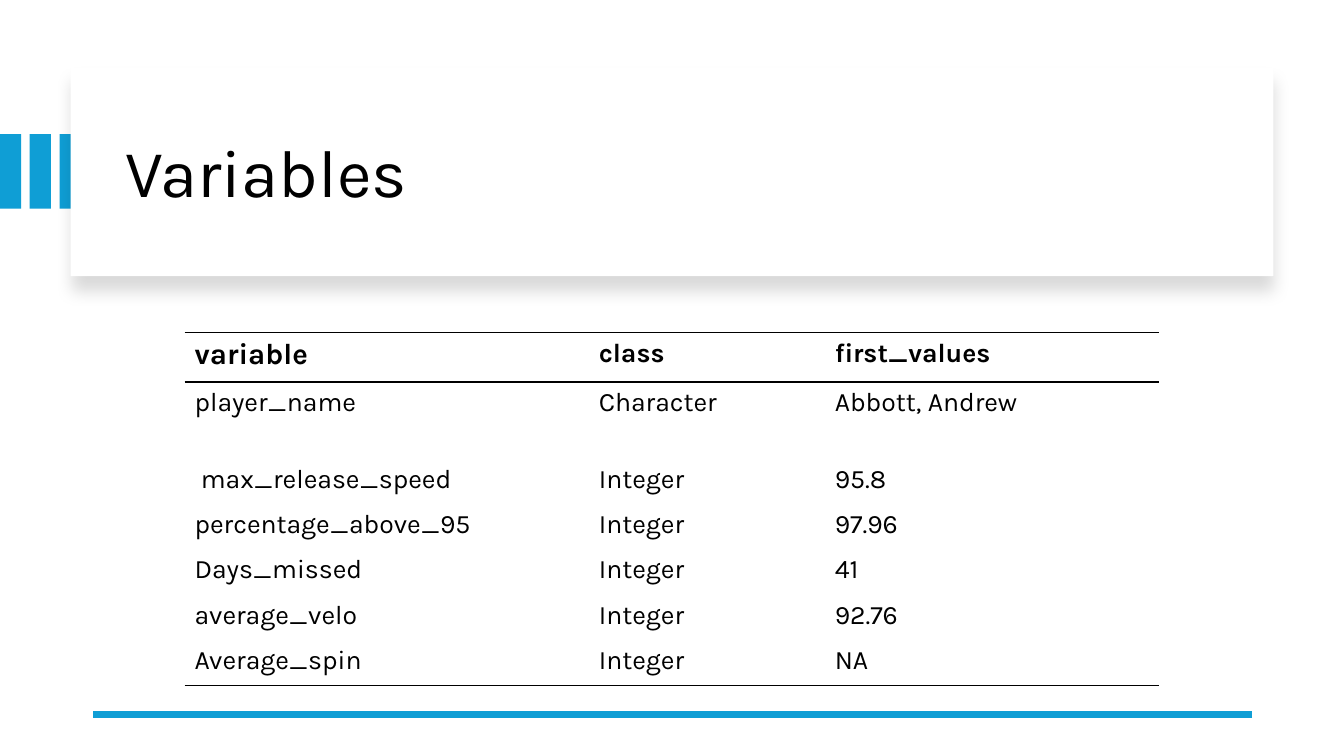
from dataclasses import dataclass

from lxml import etree
from pptx import Presentation
from pptx.dml.color import RGBColor
from pptx.enum.shapes import MSO_CONNECTOR, MSO_SHAPE
from pptx.enum.text import MSO_ANCHOR, MSO_AUTO_SIZE
from pptx.oxml import parse_xml
from pptx.oxml.ns import nsdecls, qn
from pptx.util import Inches, Pt

RECTANGLE = MSO_SHAPE.RECTANGLE
STRAIGHT = MSO_CONNECTOR.STRAIGHT
MIDDLE = MSO_ANCHOR.MIDDLE
NO_AUTOFIT = MSO_AUTO_SIZE.NONE
TITLE_ONLY_LAYOUT = 5
PLAIN_TABLE_STYLE = "{2D5ABB26-0587-4C30-8999-92F81FD0307C}"


@dataclass(frozen=True)
class Theme:
    font: str = "Karla"
    accent: str = "0F9ED5"
    panel: str = "FFFFFF"
    ink: str = "000000"
    title_size: int = 48
    first_header_size: int = 21
    table_size: int = 19
    accent_line: float = 4.5
    table_rule: int = 1


THEME = Theme()
COLUMN_WIDTHS = [4.01, 2.34, 3.32]
ROW_HEIGHTS = [0.49, 0.76] + [0.45] * 5
VARIABLES = [
    ("variable", "class", "first_values"),
    ("player_name", "Character", "Abbott, Andrew"),
    (" max_release_speed", "Integer", "95.8"),
    ("percentage_above_95", "Integer", "97.96"),
    ("Days_missed", "Integer", "41"),
    ("average_velo", "Integer", "92.76"),
    ("Average_spin", "Integer", "NA"),
]


def write_text(text_frame, text, size=THEME.table_size, bold=False, line_spacing=None):
    paragraph = text_frame.paragraphs[0]
    paragraph.line_spacing = line_spacing
    run = paragraph.add_run()
    run.text = text
    run.font.name = THEME.font
    run.font.size = Pt(size)
    run.font.bold = bold
    run.font.color.rgb = RGBColor.from_string(THEME.ink)


def add_rectangle(slide, left, top, width, height, color):
    shape = slide.shapes.add_shape(
        RECTANGLE, Inches(left), Inches(top), Inches(width), Inches(height)
    )
    shape.shadow.inherit = False
    shape.fill.solid()
    shape.fill.fore_color.rgb = RGBColor.from_string(color)
    shape.line.fill.background()
    return shape


def add_soft_shadow(shape):
    effects = shape._element.spPr.find(qn("a:effectLst"))
    effects.append(parse_xml(
        f'<a:outerShdw {nsdecls("a")} blurRad="{Pt(11)}" dist="{Pt(10)}" '
        f'dir="5400000" algn="t" rotWithShape="0"><a:srgbClr val="{THEME.ink}">'
        '<a:alpha val="15000"/></a:srgbClr></a:outerShdw>'
    ))


def place_title(slide, text):
    title = slide.shapes.title
    title.left, title.top = Inches(1.14), Inches(0.89)
    title.width, title.height = Inches(11.13), Inches(1.7)
    slide.shapes._spTree.append(title._element)
    text_frame = title.text_frame
    text_frame.word_wrap = True
    text_frame.auto_size = NO_AUTOFIT
    text_frame.vertical_anchor = MIDDLE
    write_text(text_frame, text, size=THEME.title_size, line_spacing=0.9)
    text_frame.paragraphs[0].alignment = 1


def add_accent_line(slide, start, end, y):
    line = slide.shapes.add_connector(
        STRAIGHT, Inches(start), Inches(y), Inches(end), Inches(y)
    )
    line.line.color.rgb = RGBColor.from_string(THEME.accent)
    line.line.width = Pt(THEME.accent_line)
    etree.SubElement(line._element.spPr, qn("a:effectLst"))


def set_borders(cell, sides):
    properties = cell._tc.get_or_add_tcPr()
    for position, side in enumerate(sides):
        properties.insert(position, parse_xml(
            f'<a:ln{side} {nsdecls("a")} w="{Pt(THEME.table_rule)}"><a:solidFill>'
            f'<a:srgbClr val="{THEME.ink}"/></a:solidFill></a:ln{side}>'
        ))


def add_variable_table(slide, left, top):
    frame = slide.shapes.add_table(
        len(VARIABLES), len(COLUMN_WIDTHS), Inches(left), Inches(top),
        Inches(sum(COLUMN_WIDTHS)), Inches(sum(ROW_HEIGHTS)),
    )
    table = frame.table
    table.horz_banding = False
    table._tbl.tblPr.find(qn("a:tableStyleId")).text = PLAIN_TABLE_STYLE
    for column, width in zip(table.columns, COLUMN_WIDTHS):
        column.width = Inches(width)
    for row, height in zip(table.rows, ROW_HEIGHTS):
        row.height = Inches(height)
    borders = {0: "TB", len(VARIABLES) - 1: "B"}
    for row_index, values in enumerate(VARIABLES):
        for column_index, value in enumerate(values):
            cell = table.cell(row_index, column_index)
            is_first = row_index == column_index == 0
            size = THEME.first_header_size if is_first else THEME.table_size
            write_text(cell.text_frame, value, size=size, bold=row_index == 0)
            cell.fill.background()
            set_borders(cell, borders.get(row_index, ""))


def main():
    presentation = Presentation()
    presentation.slide_width = Inches(13.33)
    presentation.slide_height = Inches(7.5)
    slide = presentation.slides.add_slide(presentation.slide_layouts[TITLE_ONLY_LAYOUT])
    for index in range(3):
        add_rectangle(slide, index * 0.295, 1.33, 0.21, 0.74, THEME.accent)
    add_soft_shadow(add_rectangle(slide, 0.7, 0.67, 11.93, 2.07, THEME.panel))
    place_title(slide, "Variables")
    add_accent_line(slide, 12.42, 0.92, 7.09)
    add_variable_table(slide, 1.83, 3.3)
    presentation.save("out.pptx")


if __name__ == "__main__":
    main()
